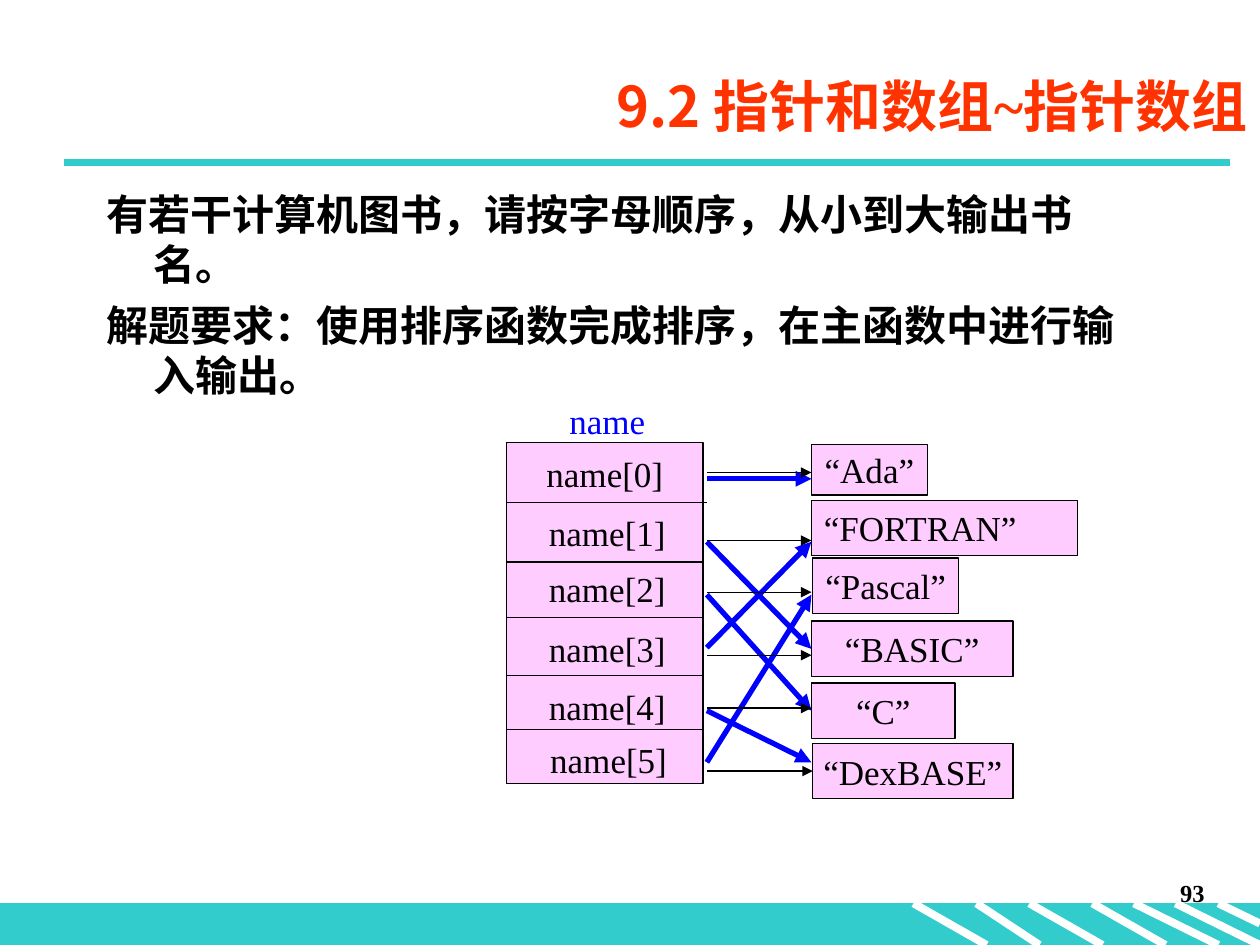
import pptx
import pptx.util
import pptx.dml.color
import pptx.enum.shapes
import pptx.enum.text
import pptx.oxml
import pptx.oxml.ns
import lxml.etree

Inches, Pt = pptx.util.Inches, pptx.util.Pt
RGB = pptx.dml.color.RGBColor
ALIGN, ANCHOR = pptx.enum.text.PP_ALIGN, pptx.enum.text.MSO_ANCHOR
RECT = pptx.enum.shapes.MSO_SHAPE.RECTANGLE
STRAIGHT = pptx.enum.shapes.MSO_CONNECTOR.STRAIGHT
qn = pptx.oxml.ns.qn

TEAL = RGB(0x33, 0xCC, 0xCC)
PINK = RGB(0xFF, 0xCC, 0xFF)
RED = RGB(0xFF, 0x33, 0x00)
BLUE = RGB(0x00, 0x00, 0xFF)
BLACK = RGB(0x00, 0x00, 0x00)
WHITE = RGB(0xFF, 0xFF, 0xFF)
LATIN, CJK = "Times New Roman", "Noto Sans CJK SC"

prs = pptx.Presentation()
prs.slide_width, prs.slide_height = Inches(10), Inches(7.5)
s = prs.slides.add_slide(prs.slide_layouts[6])


def write(sp, paragraphs, size, color=BLACK, bold=False, align=ALIGN.CENTER,
          anchor=ANCHOR.MIDDLE, wrap=False):
    """Fill a shape with paragraphs, each a list of (text, font) runs."""
    tf = sp.text_frame
    for key, value in {"word_wrap": wrap, "vertical_anchor": anchor}.items():
        setattr(tf, key, value)
    for i, runs in enumerate(paragraphs):
        p = tf.paragraphs[0] if i == 0 else tf.add_paragraph()
        p.alignment = align
        for text, font in runs:
            r = p.add_run()
            r.text = text
            for key, value in {"name": font, "size": Pt(size), "bold": bold}.items():
                setattr(r.font, key, value)
            r.font.color.rgb = color
            ea = lxml.etree.SubElement(r.font._element, qn("a:ea"))
            ea.set("typeface", CJK)
    return tf


def line(x1, y1, x2, y2, color=BLACK, width=0.75, arrow=False):
    c = s.shapes.add_connector(STRAIGHT, Inches(x1), Inches(y1), Inches(x2), Inches(y2))
    c.line.color.rgb = color
    c.line.width = Pt(width)
    if arrow:
        tail = lxml.etree.SubElement(c.line._get_or_add_ln(), qn("a:tailEnd"))
        tail.set("type", "triangle")
    lxml.etree.SubElement(c._element.spPr, qn("a:effectLst"))
    return c


# Footer band with slanted stripes, and the rule under the title
band = s.shapes.add_shape(RECT, Inches(0), Inches(7.17), Inches(10), Inches(0.33))
band.shadow.inherit = False
band.fill.solid()
band.fill.fore_color.rgb = TEAL
band.line.color.rgb = TEAL
for x1, x2, y2 in [(7.25, 7.83, 7.5), (7.75, 8.25, 7.5), (8.17, 8.75, 7.5),
                   (8.67, 9.25, 7.5), (9, 9.67, 7.5), (9.33, 10, 7.5),
                   (9.67, 10, 7.33)]:
    line(x1, 7.17, x2, y2, WHITE, 4.5)
line(0.51, 1.29, 9.76, 1.29, TEAL, 4.5)

# Slide number
sp = s.shapes.add_textbox(Inches(7.58), Inches(6.92), Inches(2.08), Inches(0.5))
write(sp, [[("93", LATIN)]], 14, bold=True, align=ALIGN.RIGHT, anchor=ANCHOR.TOP,
      wrap=True)

# Title
sp = s.shapes.add_textbox(Inches(1.5), Inches(0.44), Inches(8.5), Inches(0.79))
write(sp, [[("9.2 指针和数组", CJK), ("~指针数组", LATIN)]], 32, RED, True,
      ALIGN.RIGHT, wrap=True)

# Body text with hanging indents
sp = s.shapes.add_textbox(Inches(0.75), Inches(1.44), Inches(8.5), Inches(5.04))
tf = write(sp, [[("有若干计算机图书，请按字母顺序，从小到大输出书名。", LATIN)],
                [("解题要求：使用排序函数完成排序，在主函数中进行输入输出。", LATIN)]],
           24, bold=True, align=ALIGN.LEFT, anchor=ANCHOR.TOP, wrap=True)
tf.margin_top = Inches(0.06)
tf.margin_right = Inches(0.2)
for p in tf.paragraphs:
    p.line_spacing = Pt(28.6)
    pPr = p._p.get_or_add_pPr()
    pPr.set("marL", str(Inches(0.37)))
    pPr.set("indent", str(-Inches(0.37)))
    pPr.set("hangingPunct", "0")
tf.paragraphs[1].space_before = Pt(6)

# Pointer array: outline, row dividers, labels
array = s.shapes.add_shape(RECT, Inches(4.02), Inches(3.51), Inches(1.56), Inches(2.71))
array.shadow.inherit = False
array.fill.solid()
array.fill.fore_color.rgb = PINK
array.line.color.rgb = BLACK
array.line.width = Pt(0.75)
for y in (3.99, 4.46, 4.9, 5.36, 5.79):
    line(4.02, y, 5.61 if y == 3.99 else 5.59, y)

labels = [("name", 4.42, 3.12, 0.8, BLUE)]
for i, (x, y) in enumerate([(4.24, 3.54), (4.26, 4.01), (4.26, 4.45),
                            (4.26, 4.93), (4.26, 5.39), (4.27, 5.81)]):
    labels.append((f"name[{i}]", x, y, 1.12, BLACK))
for text, x, y, w, color in labels:
    sp = s.shapes.add_textbox(Inches(x), Inches(y), Inches(w), Inches(0.44))
    tf = write(sp, [[(text, LATIN)]], 20, color)
    tf.margin_left = tf.margin_right = Inches(0)

# Book titles
books = []
for text, x, y, w, h in [("“Ada”", 6.44, 3.53, 0.92, 0.4),
                         ("“FORTRAN”", 6.44, 3.97, 2.11, 0.44),
                         ("“Pascal”", 6.45, 4.43, 1.16, 0.44),
                         ("“BASIC”", 6.44, 4.93, 1.6, 0.44),
                         ("“C”", 6.44, 5.42, 1.14, 0.44),
                         ("“DexBASE”", 6.45, 5.9, 1.59, 0.44)]:
    sp = s.shapes.add_shape(RECT, Inches(x), Inches(y), Inches(w), Inches(h))
    sp.shadow.inherit = False
    sp.fill.solid()
    sp.fill.fore_color.rgb = PINK
    sp.line.color.rgb = BLACK
    sp.line.width = Pt(0.75)
    write(sp, [[(text, LATIN)]], 20,
          align=ALIGN.LEFT if text == "“FORTRAN”" else ALIGN.CENTER)
    books.append(sp)

# Pointers after sorting (blue): row i points at book order[i]
levels = [3.8, 4.3, 4.72, 5.14, 5.64, 6.05]
order = [0, 3, 4, 1, 5, 2]
for y, target in zip(levels, order):
    c = line(5.61, y, 6.44, levels[target], BLUE, 3, True)
    if target in (3, 4):
        c.end_connect(books[target], 1)

# Pointers before sorting (black)
for i, y in enumerate([3.75, 4.29, 4.7, 5.2, 5.62, 6.12]):
    c = line(5.61, y, 6.44, y, arrow=True)
    if i == 5:
        c.end_connect(books[i], 1)

prs.save("out.pptx")
